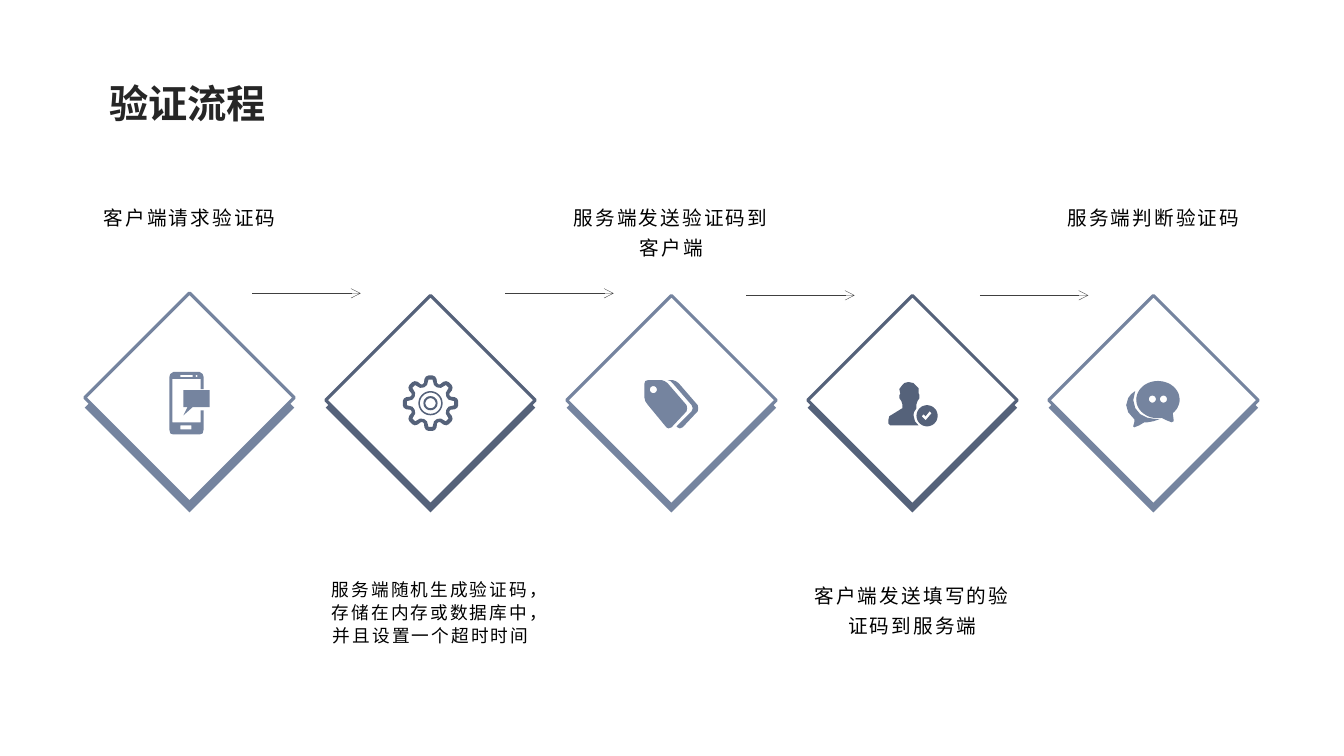
import math
from dataclasses import dataclass

import pptx
import pptx.dml.color
import pptx.enum.shapes
import pptx.enum.text
import pptx.oxml.ns
import pptx.util
from lxml import etree


@dataclass(frozen=True)
class Theme:
    font: str = "Arial"
    light: str = "75849F"
    dark: str = "55627A"
    face: str = "FFFFFF"
    ink: str = "000000"
    title_ink: str = "262626"
    arrow: str = "404040"
    title_size: float = 28
    label_size: float = 14
    detail_size: float = 12.6
    border: float = 2.25
    hairline: float = 0.25


# Grid: column 0 is centred on the first diamond, row 0 is the slide's top.
FIRST, COL, ROW = 1.88, 2.39, 0.5
DIAMOND_ROW, ICON_ROW = 8.09, 8


def rgb(color):
    return pptx.dml.color.RGBColor.from_string(color)


def across(cols):
    return pptx.util.Inches(cols * COL)


def down(rows):
    return pptx.util.Inches(rows * ROW)


def center_x(col):
    return pptx.util.Inches(FIRST + col * COL)


def arc(cx, cy, rx, ry, start=0, end=360, steps=48):
    angles = [math.radians(start + (end - start) * i / steps) for i in range(steps + 1)]
    return [(cx + rx * math.cos(a), cy + ry * math.sin(a)) for a in angles]


def circle(cx, cy, r):
    return arc(cx, cy, r, r)


def box(left, top, right, bottom):
    return [(left, top), (right, top), (right, bottom), (left, bottom)]


def cog(half_tooth, teeth=8):
    """Turn the left half of one tooth into a closed toothed outline."""
    tooth = half_tooth + [(-x, y) for x, y in reversed(half_tooth)]
    turns = [2 * math.pi * i / teeth for i in range(teeth)]
    return [(x * math.cos(a) - y * math.sin(a), x * math.sin(a) + y * math.cos(a))
            for a in turns for x, y in tooth]


# Icon outlines in hundredths of an inch around the icon's centre.
PHONE = [
    [(-16, -31), (10, -31), (13, -29), (14, -26), (14, -14), (11, -14), (11, -24),
     (-17, -24), (-17, 19), (11, 19), (11, 7), (14, 7), (14, 26), (13, 30),
     (10, 31), (-16, 31), (-19, 30), (-20, 26), (-20, -26), (-19, -29)],
    box(-9, 22, 2, 26),
    box(-9, -28, 3, -26),
    circle(7, -27, 1),
    [(-6, -13), (20, -13), (20, 4), (3, 4), (-6, 12), (-2, 4), (-6, 4)],
]
GEAR = [
    cog([(-7.5, -19), (-6.5, -20), (-6, -24), (-4.5, -26.5), (-2, -27.5)]),
    cog([(-6, -16), (-3.5, -18), (-2, -23.5)]),
    *[circle(0, 0, r) for r in (12, 10.5, 7, 5)],
]
TAGS = [
    [(-27, -19), (-26, -22), (-23, -23), (-10, -23), (-7, -22), (-4, -20), (15, 2),
     (15.5, 5), (15, 8), (0, 24), (-3, 25), (-5, 24), (-24, 1), (-26, -2), (-27, -6)],
    circle(-18, -13.5, 3.5),
    [(-4, -23), (1, -23), (4, -22), (7, -20), (26, 2), (26.5, 5), (26, 8), (11, 24),
     (8, 25), (6, 24), (5, 23), (20, 8), (21, 5), (20, 2), (1, -20), (-1, -22)],
]
USER = [
    [(-4, -21), (1, -20), (3, -18), (6, -15), (6, -10), (7, -8), (7, -5), (5, -2),
     (4, 1), (4, 5), (1.5, 9), (1, 12), (2.5, 18), (6, 22), (-22, 22), (-24, 20),
     (-24, 17), (-23, 13), (-10, 5), (-10, 1), (-11, -2), (-13, -5), (-13, -8),
     (-12, -9), (-13, -14), (-10, -18), (-8, -20)],
    circle(14.5, 12.5, 10.5),
    [(17, 8), (13, 13), (11, 11), (9, 13), (13, 17), (19, 10)],
]
CHAT = [
    arc(4.5, -3.5, 21.5, 18.5, 80, 407) + [(20, 16), (20, 18), (18, 19), (13, 17)],
    circle(-1, -4, 3.5),
    circle(10, -4, 3.5),
    [(-18, -12), (-20, -3), (-18, 5), (-13, 11), (-6, 14.5), (3, 16), (6, 16), (0, 18),
     (-6, 19), (-9, 19), (-14, 22), (-19, 24), (-20, 23), (-19, 19), (-19, 16),
     (-25, 9), (-27, 2), (-25, -5), (-22, -9)],
]


class Deck:
    def __init__(self, prs, theme):
        self.theme = theme
        self.shapes = prs.slides.add_slide(prs.slide_layouts[6]).shapes

    def _paint(self, sp, fill, border=None):
        sp.shadow.inherit = False
        sp.fill.solid()
        sp.fill.fore_color.rgb = rgb(fill)
        if border:
            sp.line.color.rgb = rgb(border)
            sp.line.width = pptx.util.Pt(self.theme.border)
        else:
            sp.line.fill.background()

    def square(self, col, row, fill, border=None):
        """Add a square turned onto its corner, centred on the grid point."""
        side = across(0.615)
        sp = self.shapes.add_shape(pptx.enum.shapes.MSO_SHAPE.RECTANGLE,
                                   center_x(col) - side // 2, down(row) - side // 2,
                                   side, side)
        sp.rotation = 315
        self._paint(sp, fill, border)

    def icon(self, col, row, outlines, color):
        fine = 10
        builder = None
        for outline in outlines:
            points = [(x * fine, y * fine) for x, y in outline]
            if builder is None:
                builder = self.shapes.build_freeform(*points[0], scale=9144 / fine)
            else:
                builder.move_to(*points[0])
            builder.add_line_segments(points[1:], close=True)
        self._paint(builder.convert_to_shape(center_x(col), down(row)), color)

    def text(self, col, row, cols, rows, words, size, color, spacing,
             bold=False, label=True):
        width = across(cols)
        tf = self.shapes.add_textbox(center_x(col) - width // 2, down(row),
                                     width, down(rows)).text_frame
        tf.word_wrap = True
        p = tf.paragraphs[0]
        p.line_spacing = spacing
        r = p.add_run()
        r.text = words
        p.font.name = self.theme.font
        p.font.size = pptx.util.Pt(size)
        p.font.bold = bold
        p.font.color.rgb = rgb(color)
        if label:
            tf.margin_top = 0
            p.alignment = pptx.enum.text.PP_ALIGN.CENTER
            r._r.get_or_add_rPr().set("spc", "150")

    def arrow(self, col, row, cols):
        line = self.shapes.add_connector(pptx.enum.shapes.MSO_CONNECTOR.STRAIGHT,
                                         center_x(col), down(row),
                                         center_x(col + cols), down(row))
        line.line.color.rgb = rgb(self.theme.arrow)
        line.line.width = pptx.util.Pt(self.theme.hairline)
        qn = pptx.oxml.ns.qn
        etree.SubElement(line.line._get_or_add_ln(), qn("a:tailEnd"), type="arrow")
        etree.SubElement(line._element.spPr, qn("a:effectLst"))


def main():
    prs = pptx.Presentation()
    prs.slide_width = pptx.util.Inches(13.33)
    prs.slide_height = pptx.util.Inches(7.5)
    theme = Theme()
    deck = Deck(prs, theme)

    label, detail = (theme.label_size, 1.3), (theme.detail_size, 1.1)
    steps = [
        (PHONE, 7.89, "客户端请求验证码", label),
        (GEAR, 7.94, "服务端随机生成验证码，存储在内存或数据库中，并且设置一个超时时间", detail),
        (TAGS, 7.94, "服务端发送验证码到客户端", label),
        (USER, 7.94, "客户端发送填写的验证码到服务端", label),
        (CHAT, 7.94, "服务端判断验证码", label),
    ]
    for col, (outlines, face_row, words, (size, spacing)) in enumerate(steps):
        below = col % 2 == 1
        color = theme.dark if below else theme.light
        deck.square(col, DIAMOND_ROW, color)
        deck.square(col, face_row, theme.face, color)
        deck.icon(col, ICON_ROW, outlines, color)
        deck.text(col, 11.44 if below else 3.94, 0.96, 1.7, words, size,
                  theme.ink, spacing)

    for col, row in [(0.26, 5.82), (1.31, 5.82), (2.31, 5.86), (3.28, 5.86)]:
        deck.arrow(col, row, 0.45)

    deck.text(2.01, 1.28, 4.77, 1.74, "验证流程", theme.title_size, theme.title_ink,
              1.2, bold=True, label=False)
    prs.save("out.pptx")


if __name__ == "__main__":
    main()
